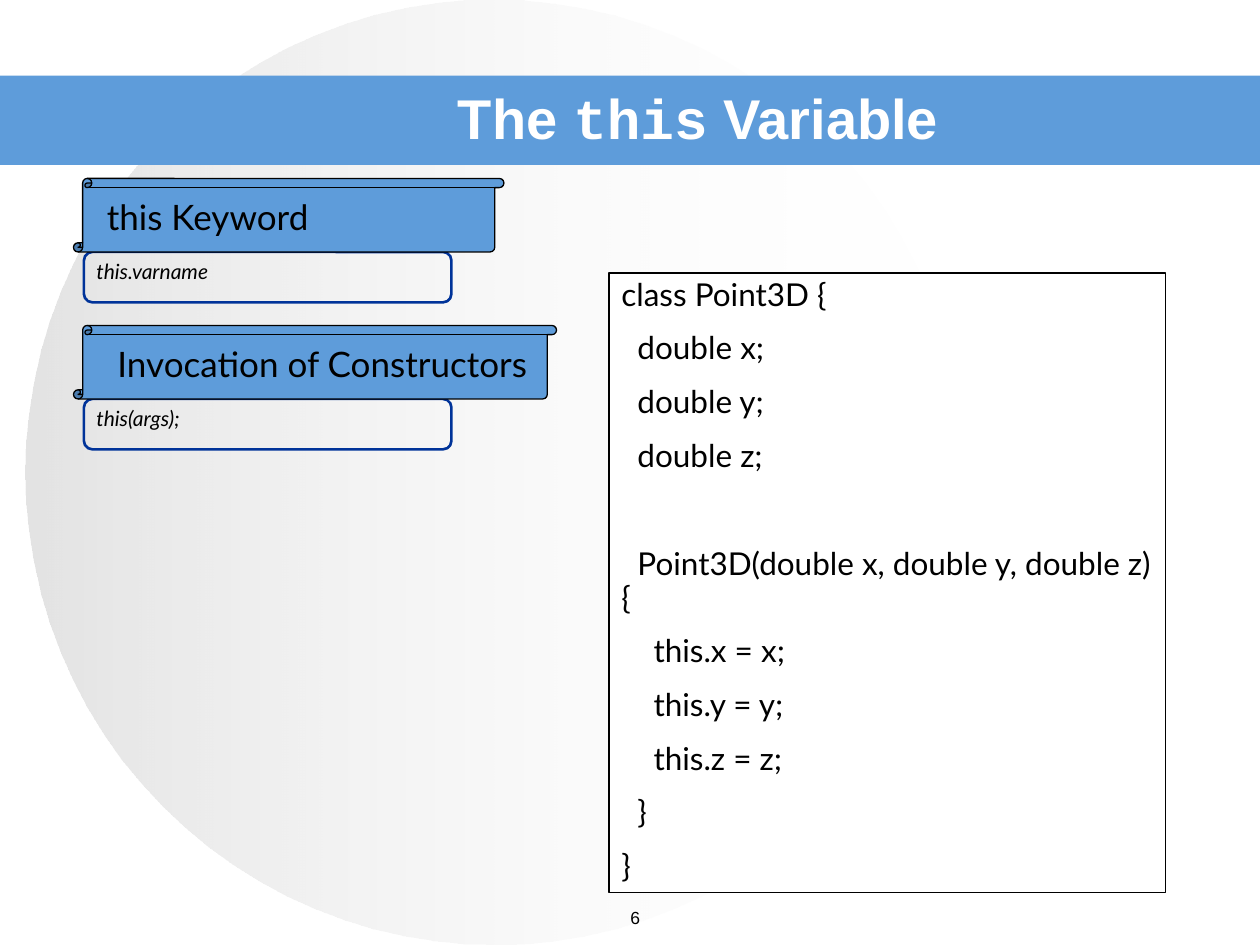
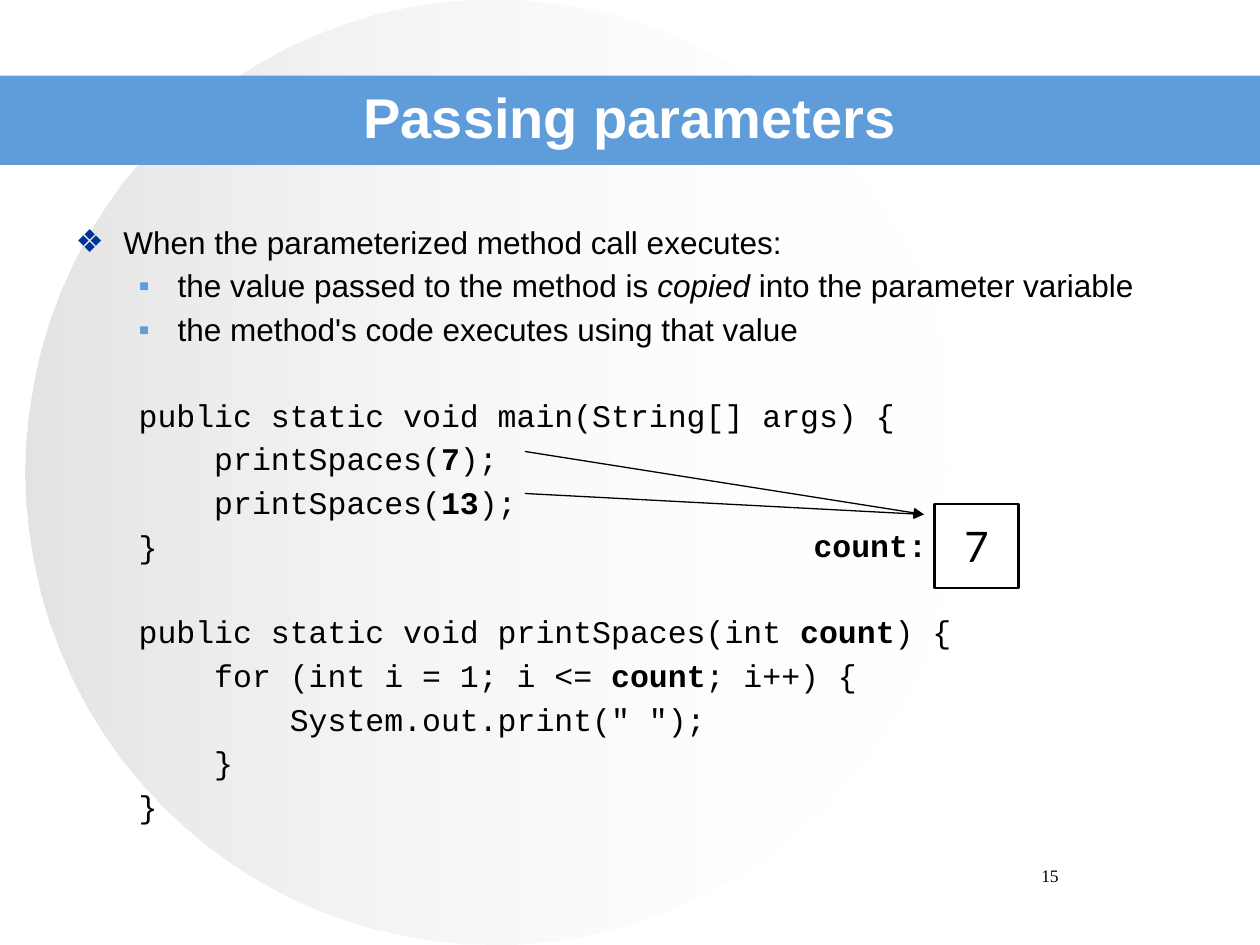
from lxml import etree
from pptx import Presentation
from pptx.dml.color import RGBColor
from pptx.enum.shapes import MSO_CONNECTOR, MSO_SHAPE
from pptx.enum.text import MSO_ANCHOR, MSO_AUTO_SIZE, PP_ALIGN
from pptx.oxml.ns import qn
from pptx.util import Inches, Pt

OVAL, RECT = MSO_SHAPE.OVAL, MSO_SHAPE.RECTANGLE
ROUNDED, SCROLL = MSO_SHAPE.ROUNDED_RECTANGLE, MSO_SHAPE.VERTICAL_SCROLL
STRAIGHT = MSO_CONNECTOR.STRAIGHT
LEFT, CENTER = PP_ALIGN.LEFT, PP_ALIGN.CENTER
TOP, MIDDLE = MSO_ANCHOR.TOP, MSO_ANCHOR.MIDDLE
FIXED = MSO_AUTO_SIZE.NONE

BLUE = RGBColor(0x5E, 0x9C, 0xDA)
NAVY = RGBColor(0x00, 0x33, 0x99)
SILVER = RGBColor(0xC0, 0xC0, 0xC0)
WHITE = RGBColor(0xFF, 0xFF, 0xFF)
BLACK = RGBColor(0x00, 0x00, 0x00)
SANS, MONO, SERIF, LATO = "Arial", "Courier New", "Times New Roman", "Lato"
TITLE_ONLY, TITLE_AND_BODY = 5, 1
BOLD, ITALIC = {"bold": True}, {"italic": True}
CELL = Inches(1) / 12


def grid(*cells):
    return [round(cell * CELL) for cell in cells]


def add_child(parent, tag, **attributes):
    return etree.SubElement(parent, qn(tag), attributes)


def set_bullet(paragraph, level, bullet):
    paragraph.level = level
    properties = paragraph._p.get_or_add_pPr()
    margin, hang = ((0.38, 0.38), (0.81, 0.31))[level]
    properties.set("marL", str(Inches(margin)))
    properties.set("indent", str(-Inches(hang)))
    if bullet:
        colour = add_child(properties, "a:buClr")
        add_child(colour, "a:srgbClr", val=str((NAVY, BLUE)[level]))
        add_child(properties, "a:buChar", char=bullet)
    else:
        add_child(properties, "a:buNone")


def write(paragraph, text, font=LATO, size=18, color=BLACK, bold=False,
          italic=False, align=LEFT, before=0, line=1.0, accent=None):
    paragraph.alignment = align
    paragraph.line_spacing = line
    paragraph.space_before = Pt(before)
    for position, part in enumerate(text.split("|")):
        run = paragraph.add_run()
        run.text = part
        style = {"font": font, "bold": bold, "italic": italic}
        if position % 2:
            style.update(accent or BOLD)
        run.font.name = style["font"]
        run.font.bold = style["bold"]
        run.font.italic = style["italic"]
        run.font.size = Pt(size)
        run.font.color.rgb = color


class Deck:
    def __init__(self):
        self.file = Presentation()
        self.file.slide_width, self.file.slide_height = grid(120, 90)
        self.slide = None

    def start(self, layout):
        first = self.slide is None
        self.slide = self.file.slides.add_slide(self.file.slide_layouts[layout])
        if first:
            self.backdrop()

    def backdrop(self):
        disc = self.shape(OVAL, 2.4, 0, 89.3, 90)
        disc.fill.gradient()
        disc.fill.gradient_angle = 0
        for stop, colour in zip(disc.fill.gradient_stops, (SILVER, WHITE)):
            stop.color.rgb = colour
        opacities = ("44000", "0")
        for colour, opacity in zip(disc.element.iter(qn("a:srgbClr")), opacities):
            add_child(colour, "a:alpha", val=opacity)
        band = self.shape(RECT, 0, 7.2, 120, 8.5, fill=BLUE)
        for order, part in enumerate((disc, band)):
            part.element.nvSpPr.cNvPr.set("id", str(100 + order))
            self.file.slide_master.shapes.element.insert(2 + order, part.element)

    def place(self, holder, *cells, anchor=MIDDLE):
        holder.left, holder.top, holder.width, holder.height = grid(*cells)
        frame = holder.text_frame
        frame.auto_size = FIXED
        frame.vertical_anchor = anchor
        return frame

    def title(self, text, *cells):
        frame = self.place(self.slide.shapes.title, *cells)
        write(frame.paragraphs[0], text, font=SANS, size=32, color=WHITE,
              bold=True, align=CENTER, accent={"font": MONO})

    def body(self, rows, *cells):
        frame = self.place(self.slide.placeholders[1], *cells, anchor=TOP)
        for index, (text, level, bullet, style) in enumerate(rows):
            paragraph = frame.add_paragraph() if index else frame.paragraphs[0]
            set_bullet(paragraph, level, bullet)
            write(paragraph, text, line=0.9, **style)

    def shape(self, kind, *cells, fill=None, line=None, weight=0.75):
        shape = self.slide.shapes.add_shape(kind, *grid(*cells))
        shape.shadow.inherit = False
        if fill is None:
            shape.fill.background()
        else:
            shape.fill.solid()
            shape.fill.fore_color.rgb = fill
        if line is None:
            shape.line.fill.background()
        else:
            shape.line.color.rgb = line
            shape.line.width = Pt(weight)
        return shape

    def label(self, text, *cells, **style):
        box = self.slide.shapes.add_textbox(*grid(*cells))
        box.text_frame.word_wrap = True
        write(box.text_frame.paragraphs[0], text, **style)

    def heading(self, text, left, top, width, text_left):
        self.shape(SCROLL, left, top, width, 7, fill=BLUE, line=BLACK)
        self.label(text, text_left, top + 1, width, 5.3, size=20)

    def syntax(self, text, *cells):
        outline = self.shape(ROUNDED, *cells, line=NAVY, weight=1.5)
        outline.adjustments[0] = 0.167
        self.label(text, *cells, size=12, italic=True)

    def listing(self, groups, *cells, gap, blank):
        frame = self.shape(RECT, *cells, fill=WHITE, line=BLACK).text_frame
        frame.word_wrap = True
        frame.vertical_anchor = TOP
        for group_index, group in enumerate(groups):
            for index, text in enumerate(group):
                if group_index or index:
                    paragraph = frame.add_paragraph()
                    before = gap if index else blank
                else:
                    paragraph, before = frame.paragraphs[0], 0
                write(paragraph, text, line=0.9, before=before)

    def value_box(self, text, *cells):
        box = self.shape(RECT, *cells, fill=WHITE, line=BLACK, weight=1.25)
        box.text_frame.vertical_anchor = MIDDLE
        write(box.text_frame.paragraphs[0], text, size=24, align=CENTER)

    def arrow(self, *ends):
        arrow = self.slide.shapes.add_connector(STRAIGHT, *grid(*ends))
        arrow.line.color.rgb = BLACK
        arrow.line.width = Pt(0.75)
        add_child(arrow.line._get_or_add_ln(), "a:tailEnd", type="triangle")
        add_child(arrow.element.spPr, "a:effectLst")

    def number(self, text, *cells, font):
        self.label(text, *cells, font=font, size=10, align=CENTER)


def this_variable(deck):
    deck.start(TITLE_ONLY)
    deck.title("The |this| Variable", 27, 8, 79, 6.4)
    deck.number("6", 55, 85.8, 11, 3.5, font=SANS)
    fields = ["class Point3D {", "  double x;", "  double y;", "  double z;"]
    constructor = ["  Point3D(double x, double y, double z) {",
                   "    this.x = x;", "    this.y = y;", "    this.z = z;",
                   "  }", "}"]
    deck.listing([fields, constructor], 58, 26, 53, 59, gap=11.2, blank=42.2)
    uses = [("this Keyword", "this.varname", 41, 9),
            ("Invocation of Constructors", "this(args);", 46, 10)]
    for index, (name, form, width, text_left) in enumerate(uses):
        top = 17 + 14 * index
        deck.syntax(form, 8, top + 7, 35, 4.8)
        deck.heading(name, 7, top, width, text_left)


def passing_parameters(deck):
    points = [("When the parameterized method call executes:", 0, "❖"),
              ("the value passed to the method is |copied| into the parameter variable", 1, "▪"),
              ("the method's code executes using that value", 1, "▪")]
    methods = [
        ["public static void main(String[] args) {",
         "    printSpaces(|7|);",
         "    printSpaces(|13|);",
         "}"],
        ["public static void printSpaces(int |count|) {",
         "    for (int i = 1; i <= |count|; i++) {",
         '        System.out.print(" ");',
         "    }",
         "}"]]
    gap, blank = 5.5, 29.6
    rows = [(*point, {"font": SANS, "accent": ITALIC, "before": gap if index else 0})
            for index, point in enumerate(points)]
    rows += [(code, 1, None, {"font": MONO, "before": gap if index else blank})
             for method in methods for index, code in enumerate(method)]
    deck.start(TITLE_AND_BODY)
    deck.title("Passing parameters", 6, 3.6, 108, 15)
    deck.body(rows, 6, 21, 108, 59.4)
    for call_row in (43, 47):
        deck.arrow(50, call_row, 88, 49)
    deck.label("count:", 76.3, 49.5, 15, 4.8, font=MONO, bold=True)
    deck.value_box("7", 89, 48, 8, 8)
    deck.number("15", 86, 81.8, 28, 6, font=SERIF)


def main():
    deck = Deck()
    this_variable(deck)
    passing_parameters(deck)
    deck.file.save("out.pptx")


if __name__ == "__main__":
    main()
